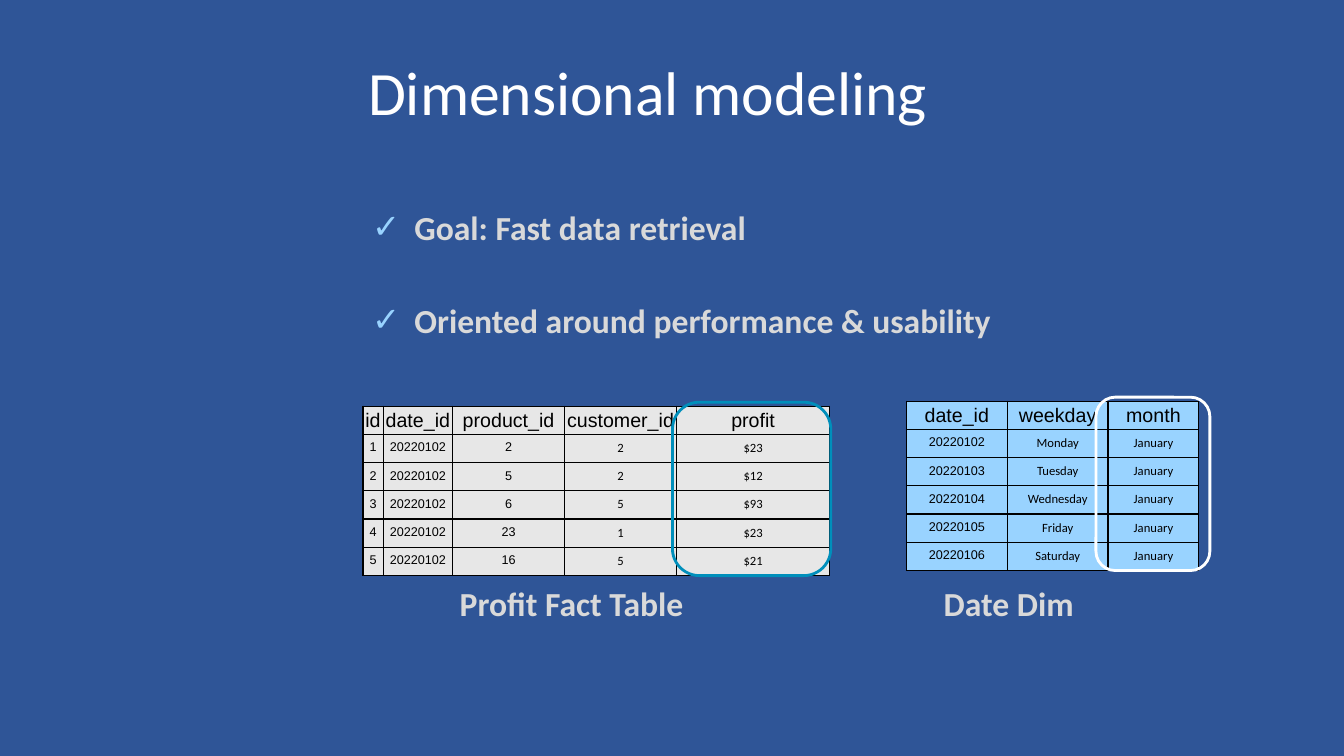
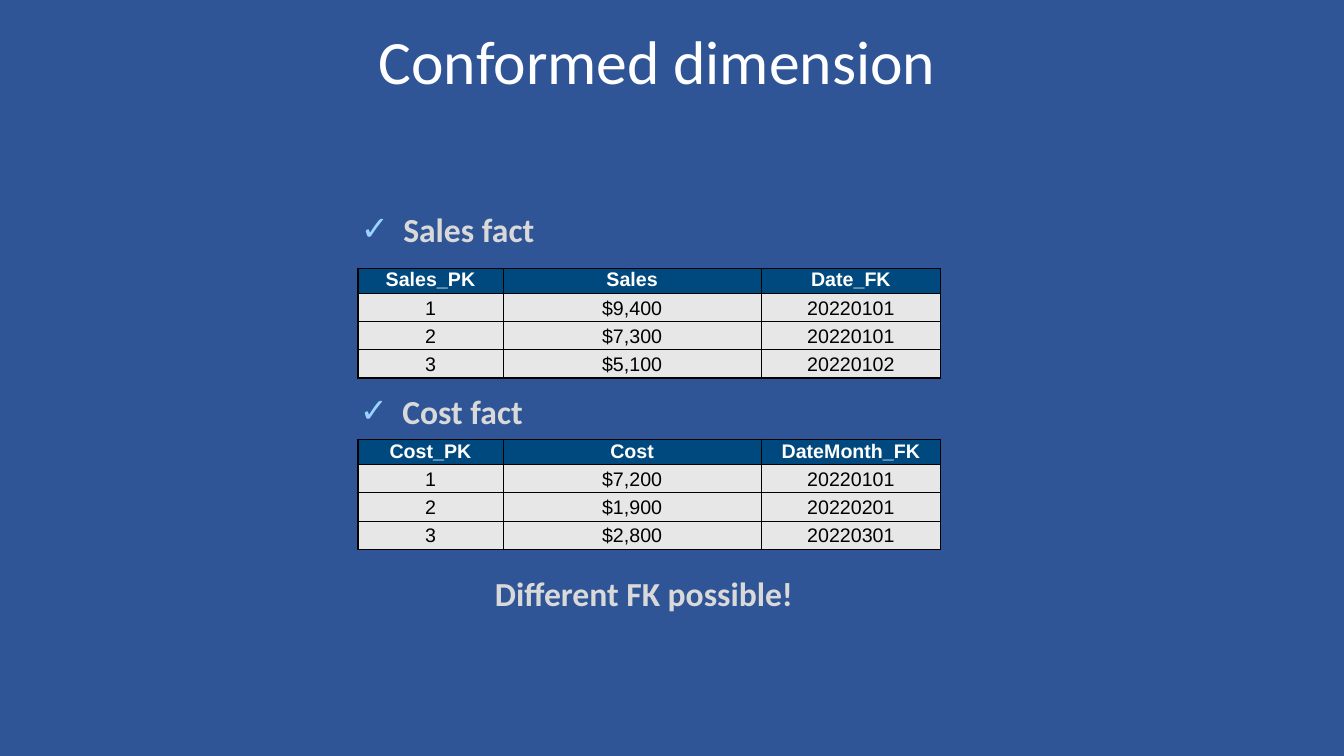
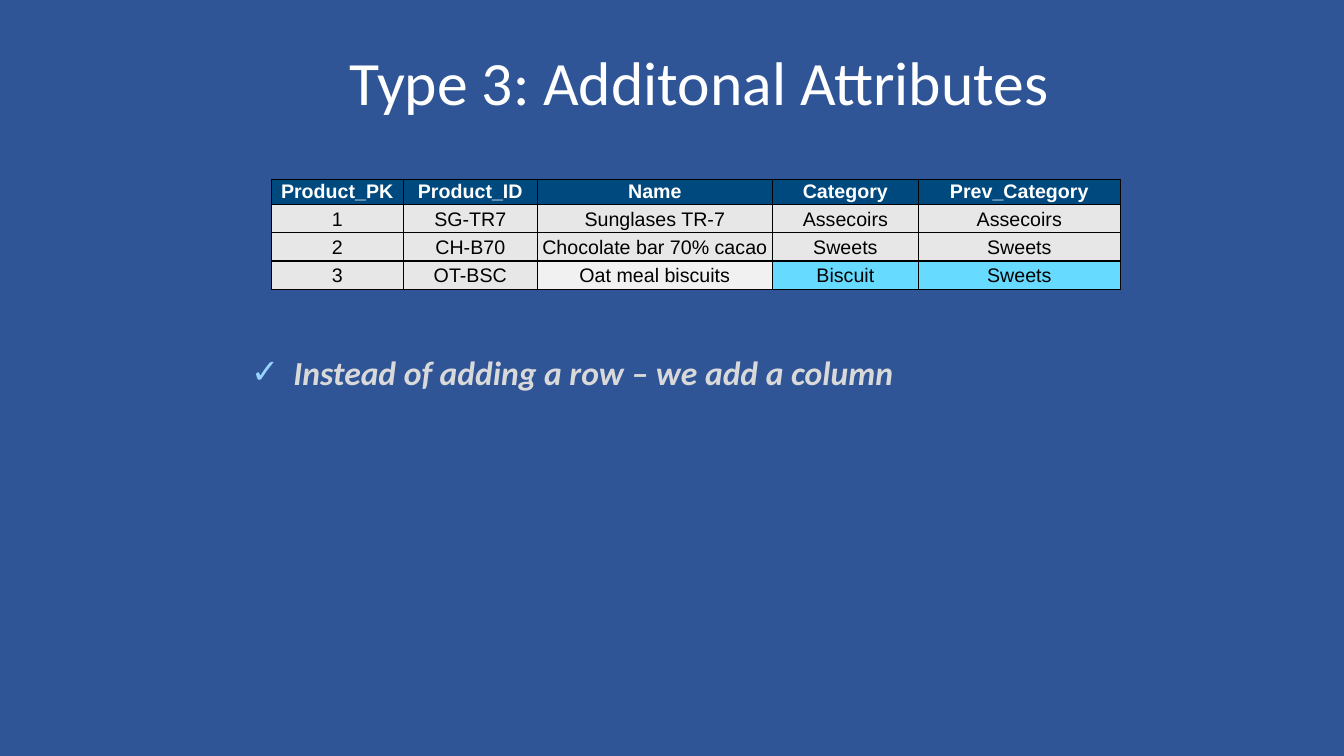
from dataclasses import dataclass

from lxml.etree import SubElement
from pptx import Presentation
from pptx.dml.color import RGBColor
from pptx.enum.shapes import MSO_SHAPE as Shape
from pptx.enum.text import MSO_ANCHOR as Anchor, MSO_AUTO_SIZE as AutoSize, PP_ALIGN as Align
from pptx.oxml.ns import qn
from pptx.util import Inches, Pt


@dataclass(frozen=True)
class Theme:
    background: str = "2F5597"
    white: str = "FFFFFF"
    black: str = "000000"
    text: str = "D9D9D9"
    light_blue: str = "99D3FF"
    header: str = "00497E"
    grey: str = "E7E7E7"
    pale_grey: str = "F1F1F1"
    changed: str = "66DBFF"
    outline: str = "008FBB"
    heading_font: str = "Calibri"
    table_font: str = "Arial"
    title_size: float = 44
    body_size: float = 24
    table_size: float = 14
    small_size: float = 9
    border: float = 1
    outline_width: float = 2


THEME = Theme()


def rgb(value):
    return RGBColor.from_string(value)


def inches(box):
    return [Inches(length) for length in box]


def add_check(paragraph):
    properties = paragraph._p.get_or_add_pPr()
    properties.set("marL", str(Inches(0.44)))
    properties.set("indent", str(Inches(-0.42)))
    color = SubElement(properties, qn("a:buClr"))
    SubElement(color, qn("a:srgbClr"), val=THEME.light_blue)
    SubElement(properties, qn("a:buChar"), char="✓")


def write(frame, text, *, size=THEME.body_size, font=THEME.heading_font, color=THEME.text,
          bold=True, italic=False, align=Align.LEFT, check=False, gap=0):
    for index, line in enumerate(text.split("\n")):
        paragraph = frame.add_paragraph() if index else frame.paragraphs[0]
        paragraph.alignment = align
        paragraph.space_before = Pt(gap if index else 0)
        if check:
            add_check(paragraph)
        run = paragraph.add_run()
        run.text = line
        run.font.size = Pt(size)
        run.font.name = font
        run.font.bold = bold
        run.font.italic = italic
        run.font.color.rgb = rgb(color)


def place(holder, box, text, anchor=Anchor.TOP, **style):
    holder.left, holder.top, holder.width, holder.height = inches(box)
    frame = holder.text_frame
    frame.word_wrap = True
    frame.auto_size = AutoSize.NONE
    frame.vertical_anchor = anchor
    frame.margin_left = frame.margin_right = frame.margin_bottom = 0
    frame.margin_top = Inches(0.02)
    write(frame, text, **style)


def add_title(slide, box, text, align=Align.LEFT):
    place(slide.shapes.title, box, text, Anchor.MIDDLE, size=THEME.title_size,
          color=THEME.white, bold=False, align=align)


def add_caption(slide, box, text):
    place(slide.shapes.add_textbox(*inches(box)), box, text)


def add_border(cell):
    properties = cell._tc.get_or_add_tcPr()
    for side in ("lnL", "lnR", "lnT", "lnB"):
        line = SubElement(properties, qn(f"a:{side}"), w=str(Pt(THEME.border)))
        fill = SubElement(line, qn("a:solidFill"))
        SubElement(fill, qn("a:srgbClr"), val=THEME.black)


def fill_cell(cell, text, fill, top, **style):
    cell.margin_left = cell.margin_right = cell.margin_bottom = 0
    cell.margin_top = Inches(top)
    add_border(cell)
    cell.fill.solid()
    cell.fill.fore_color.rgb = rgb(fill)
    write(cell.text_frame, text, align=Align.CENTER, **style)


def add_grid(slide, left, top, widths, records, *, header_height, header_top, body_top,
             header_style, body_style, header_fill, body_fill, calibri_columns=(), highlights=None):
    heights = [header_height] + [0.28] * (len(records) - 1)
    grid = slide.shapes.add_table(len(records), len(widths),
                                  *inches((left, top, sum(widths), sum(heights)))).table
    grid.first_row = grid.horz_banding = False
    for column, width in zip(grid.columns, widths):
        column.width = Inches(width)
    for row, height in zip(grid.rows, heights):
        row.height = Inches(height)
    for r, record in enumerate(records):
        for c, value in enumerate(record):
            if r == 0:
                fill, inset, style = header_fill, header_top, header_style
            else:
                fill, inset, style = (highlights or {}).get((r, c), body_fill), body_top, body_style
            font = THEME.heading_font if r and c in calibri_columns else THEME.table_font
            fill_cell(grid.cell(r, c), value, fill, inset, font=font, **style)


def add_plain_grid(slide, left, top, widths, records, fill, calibri_columns):
    plain = dict(color=THEME.black, bold=False)
    add_grid(slide, left, top, widths, records, header_height=0.28, header_top=0.03, body_top=0.06,
             header_style=dict(plain, size=THEME.table_size),
             body_style=dict(plain, size=THEME.small_size),
             header_fill=fill, body_fill=fill, calibri_columns=calibri_columns)


def add_key_grid(slide, left, top, widths, records, highlights=None):
    add_grid(slide, left, top, widths, records, header_height=0.25, header_top=0.01, body_top=0.04,
             header_style=dict(size=THEME.table_size, color=THEME.white),
             body_style=dict(size=THEME.table_size, color=THEME.black, bold=False),
             header_fill=THEME.header, body_fill=THEME.grey, highlights=highlights)


def add_outline(slide, box, color):
    outline = slide.shapes.add_shape(Shape.ROUNDED_RECTANGLE, *inches(box))
    outline.adjustments[0] = 0.17
    outline.shadow.inherit = False
    outline.fill.background()
    outline.line.color.rgb = rgb(color)
    outline.line.width = Pt(THEME.outline_width)


def build_modeling(slide):
    add_title(slide, (3.65, 0.51, 7.39, 0.76), "Dimensional modeling")
    place(slide.placeholders[1], (3.67, 2.03, 6.5, 1.36),
          "Goal: Fast data retrieval\nOriented around performance & usability", check=True, gap=38)
    facts = [("2", "2", "$23"), ("5", "2", "$12"), ("6", "5", "$93"),
             ("23", "1", "$23"), ("16", "5", "$21")]
    profits = [("id", "date_id", "product_id", "customer_id", "profit")]
    profits += [(str(number), "20220102", *fact) for number, fact in enumerate(facts, 1)]
    add_plain_grid(slide, 3.6, 4.03, (0.2, 0.69, 1.11, 1.11, 1.52), profits, THEME.grey, (3, 4))
    weekdays = ("Monday", "Tuesday", "Wednesday", "Friday", "Saturday")
    dates = [("date_id", "weekday", "month")]
    dates += [(str(day), weekday, "January") for day, weekday in enumerate(weekdays, 20220102)]
    add_plain_grid(slide, 8.99, 3.98, (1, 1, 0.9), dates, THEME.light_blue, (1, 2))
    add_caption(slide, (4.56, 5.76, 2.4, 0.42), "Profit Fact Table")
    add_caption(slide, (9.36, 5.76, 1.5, 0.42), "Date Dim")
    add_outline(slide, (6.67, 3.99, 1.57, 1.72), THEME.outline)
    add_outline(slide, (10.87, 3.94, 1.13, 1.72), THEME.white)


def build_conformed(slide):
    add_title(slide, (2.09, 0.2, 8.86, 0.76), "Conformed dimension", Align.CENTER)
    sales = [("Sales_PK", "Sales", "Date_FK"), ("1", "$9,400", "20220101"),
             ("2", "$7,300", "20220101"), ("3", "$5,100", "20220102")]
    costs = [("Cost_PK", "Cost", "DateMonth_FK"), ("1", "$7,200", "20220101"),
             ("2", "$1,900", "20220201"), ("3", "$2,800", "20220301")]
    sections = [(1, "Sales fact", 3.56, 2.05, 2.66, sales), (2, "Cost fact", 3.55, 3.86, 4.36, costs)]
    for index, heading, left, top, grid_top, records in sections:
        place(slide.placeholders[index], (left, top, 2, 0.42), heading, check=True)
        add_key_grid(slide, 3.55, grid_top, (1.44, 2.56, 1.78), records)
    add_caption(slide, (4.91, 5.66, 3.1, 0.42), "Different FK possible!")


def build_attributes(slide):
    add_title(slide, (3.47, 0.41, 7.54, 0.76), "Type 3: Additonal Attributes")
    products = [("Product_PK", "Product_ID", "Name", "Category", "Prev_Category"),
                ("1", "SG-TR7", "Sunglases TR-7", "Assecoirs", "Assecoirs"),
                ("2", "CH-B70", "Chocolate bar 70% cacao", "Sweets", "Sweets"),
                ("3", "OT-BSC", "Oat meal biscuits", "Biscuit", "Sweets")]
    highlights = {(3, 2): THEME.pale_grey, (3, 3): THEME.changed, (3, 4): THEME.changed}
    add_key_grid(slide, 2.69, 1.78, (1.31, 1.33, 2.33, 1.45, 2), products, highlights)
    place(slide.placeholders[1], (2.47, 3.47, 6.8, 0.42),
          "Instead of adding a row – we add a column", check=True, italic=True)


def main():
    deck = Presentation()
    deck.slide_width, deck.slide_height = Inches(13.33), Inches(7.5)
    backdrop = deck.slide_master.background.fill
    backdrop.solid()
    backdrop.fore_color.rgb = rgb(THEME.background)
    one_list, two_lists = deck.slide_layouts[1], deck.slide_layouts[3]
    for layout, build in ((one_list, build_modeling), (two_lists, build_conformed),
                          (one_list, build_attributes)):
        build(deck.slides.add_slide(layout))
    deck.save("out.pptx")


if __name__ == "__main__":
    main()
